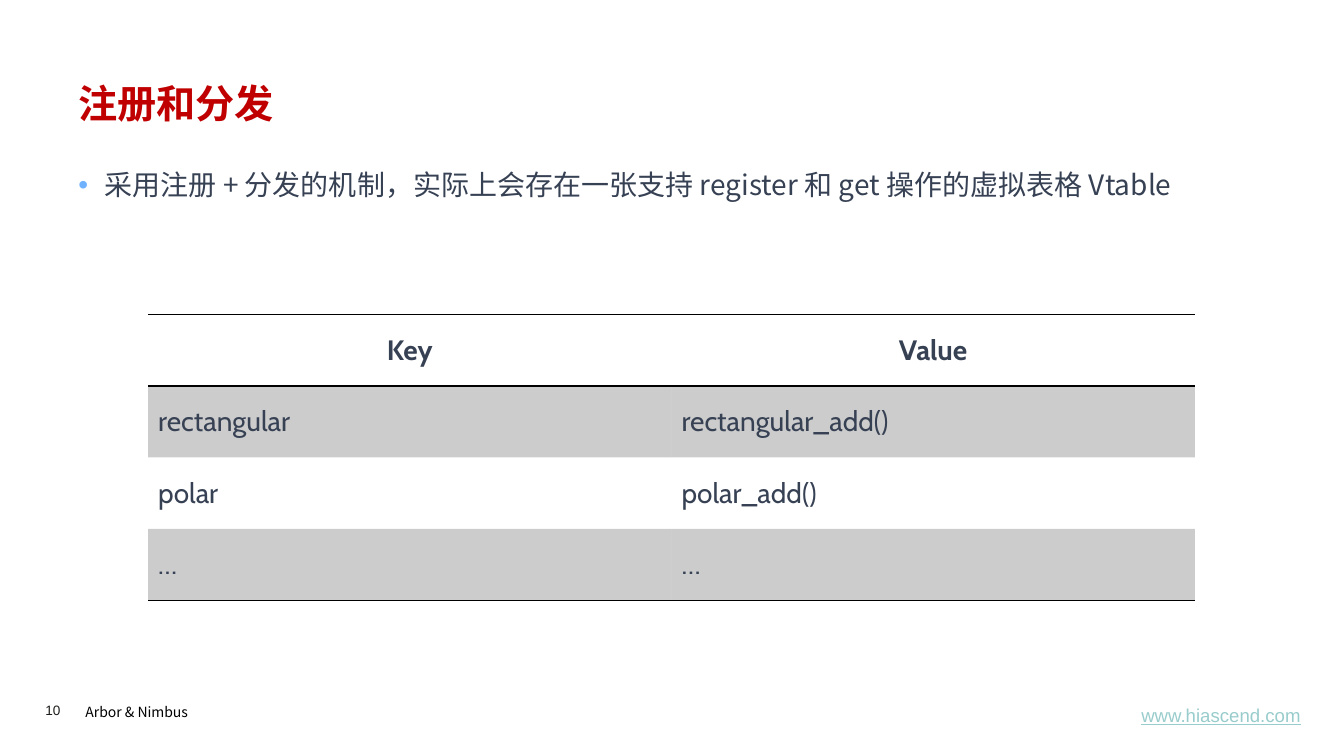
from lxml.etree import SubElement
from pptx import Presentation
from pptx.dml.color import RGBColor
from pptx.enum.text import MSO_ANCHOR, PP_ALIGN
from pptx.oxml import parse_xml
from pptx.oxml.ns import nsdecls, qn
from pptx.util import Inches, Pt

BLACK = RGBColor(0x00, 0x00, 0x00)
NEAR_BLACK = RGBColor(0x1D, 0x1D, 0x1B)
RED = RGBColor(0xC0, 0x00, 0x00)
SLATE = RGBColor(0x37, 0x41, 0x54)
BULLET_BLUE = RGBColor(0x71, 0xB2, 0xFF)
LINK_TEAL = RGBColor(0x99, 0xCC, 0xCC)

CHINESE_FONT = "Noto Sans CJK SC"
PLAIN_TABLE_STYLE = "{2D5ABB26-0587-4C30-8999-92F81FD0307C}"
STRIPE_OPACITY = 20


def apply_format(target, values):
    for name, value in values.items():
        setattr(target, name, value)


class SlideBuilder:
    """Adds styled elements; boxes are left, top, width, height in percent of the slide."""

    styles = {
        "title": (RED, {"name": "Quicksand", "size": Pt(28), "bold": True}),
        "body": (SLATE, {"name": CHINESE_FONT, "size": Pt(20)}),
        "header": (SLATE, {"name": "Cabin", "size": Pt(20), "bold": True}),
        "cell": (SLATE, {"name": "Cabin", "size": Pt(20), "bold": False}),
        "footer": (BLACK, {"name": CHINESE_FONT, "size": Pt(10)}),
        "number": (NEAR_BLACK, {"name": "Arial", "size": Pt(9.7)}),
        "link": (LINK_TEAL, {"name": "Arial", "size": Pt(13.3), "underline": True}),
    }

    def __init__(self, presentation):
        self.width = presentation.slide_width
        self.height = presentation.slide_height
        self.slide = presentation.slides.add_slide(presentation.slide_layouts[6])

    def place(self, box):
        sides = (self.width, self.height) * 2
        return [round(side * share / 100) for side, share in zip(sides, box)]

    def add_words(self, paragraph, text, style, **paragraph_format):
        color, font_format = self.styles[style]
        apply_format(paragraph, paragraph_format)
        run = paragraph.add_run()
        run.text = text
        apply_format(run.font, font_format)
        run.font.color.rgb = color
        SubElement(run.font._element, qn("a:ea"), typeface=CHINESE_FONT)

    def add_text(self, box, text, style, frame_format=None, bullet=False, **paragraph_format):
        frame = self.slide.shapes.add_textbox(*self.place(box)).text_frame
        apply_format(frame, {"word_wrap": True, **(frame_format or {})})
        paragraph = frame.paragraphs[0]
        if bullet:
            self.add_bullet(paragraph)
        self.add_words(paragraph, text, style, **paragraph_format)

    def add_bullet(self, paragraph):
        properties = paragraph._p.get_or_add_pPr()
        indent = Inches(0.26)
        properties.set("marL", str(indent))
        properties.set("indent", str(-indent))
        color = SubElement(properties, qn("a:buClr"))
        SubElement(color, qn("a:srgbClr"), val=str(BULLET_BLUE))
        SubElement(properties, qn("a:buFont"), typeface="Arial")
        SubElement(properties, qn("a:buChar"), char="•")

    def add_rule(self, cell, tag):
        """Draw one black cell border; borders must precede the fill."""
        rule = parse_xml(
            f'<a:{tag} {nsdecls("a")} w="{Pt(1)}"><a:solidFill>'
            f'<a:srgbClr val="{BLACK}"/></a:solidFill></a:{tag}>'
        )
        properties = cell._tc.get_or_add_tcPr()
        properties.insert(len(properties.findall(qn("a:lnT"))), rule)

    def fill_cell(self, cell, striped):
        if not striped:
            cell.fill.background()
            return
        cell.fill.solid()
        cell.fill.fore_color.rgb = BLACK
        color = cell._tc.tcPr.find(".//" + qn("a:srgbClr"))
        SubElement(color, qn("a:alpha"), val=str(STRIPE_OPACITY * 1000))

    def add_table(self, box, rows):
        shape = self.slide.shapes.add_table(len(rows), len(rows[0]), *self.place(box))
        table = shape.table
        apply_format(table, {"first_row": False, "horz_banding": False})
        table._tbl.tblPr.find(qn("a:tableStyleId")).text = PLAIN_TABLE_STYLE
        for row_index, row in enumerate(rows):
            is_header = row_index == 0
            for column_index, text in enumerate(row):
                cell = table.cell(row_index, column_index)
                cell.vertical_anchor = MSO_ANCHOR.MIDDLE
                self.add_words(
                    cell.text_frame.paragraphs[0],
                    text,
                    "header" if is_header else "cell",
                    alignment=PP_ALIGN.CENTER if is_header else PP_ALIGN.LEFT,
                )
                self.fill_cell(cell, striped=row_index % 2 == 1)
                if is_header:
                    self.add_rule(cell, "lnT")
                if is_header or row_index == len(rows) - 1:
                    self.add_rule(cell, "lnB")


def main():
    presentation = Presentation()
    presentation.slide_width = Inches(13.34)
    presentation.slide_height = Inches(7.5)
    builder = SlideBuilder(presentation)

    no_margins = {f"margin_{side}": 0 for side in ("left", "top", "right", "bottom")}
    builder.add_text((5.62, 92, 23.46, 3.87), "Arbor & Nimbus", "footer", line_spacing=1.2)
    builder.add_text((3.37, 92.8, 4.12, 2.13), "10", "number", no_margins)
    builder.add_text(
        (82.76, 91.73, 16.19, 5.73),
        "www.hiascend.com",
        "link",
        {"vertical_anchor": MSO_ANCHOR.MIDDLE},
        alignment=PP_ALIGN.CENTER,
    )
    builder.add_text((5.1, 9.87, 89.88, 8.53), "注册和分发", "title")
    builder.add_text(
        (5.1, 20.67, 89.88, 67.2),
        "采用注册 + 分发的机制，实际上会存在一张支持 register 和 get 操作的虚拟表格 Vtable",
        "body",
        bullet=True,
        line_spacing=1.2,
    )
    builder.add_table(
        (11.02, 41.6, 77.89, 37.8),
        [
            ("Key", "Value"),
            ("rectangular", "rectangular_add()"),
            ("polar", "polar_add()"),
            ("…", "…"),
        ],
    )
    presentation.save("out.pptx")


if __name__ == "__main__":
    main()
